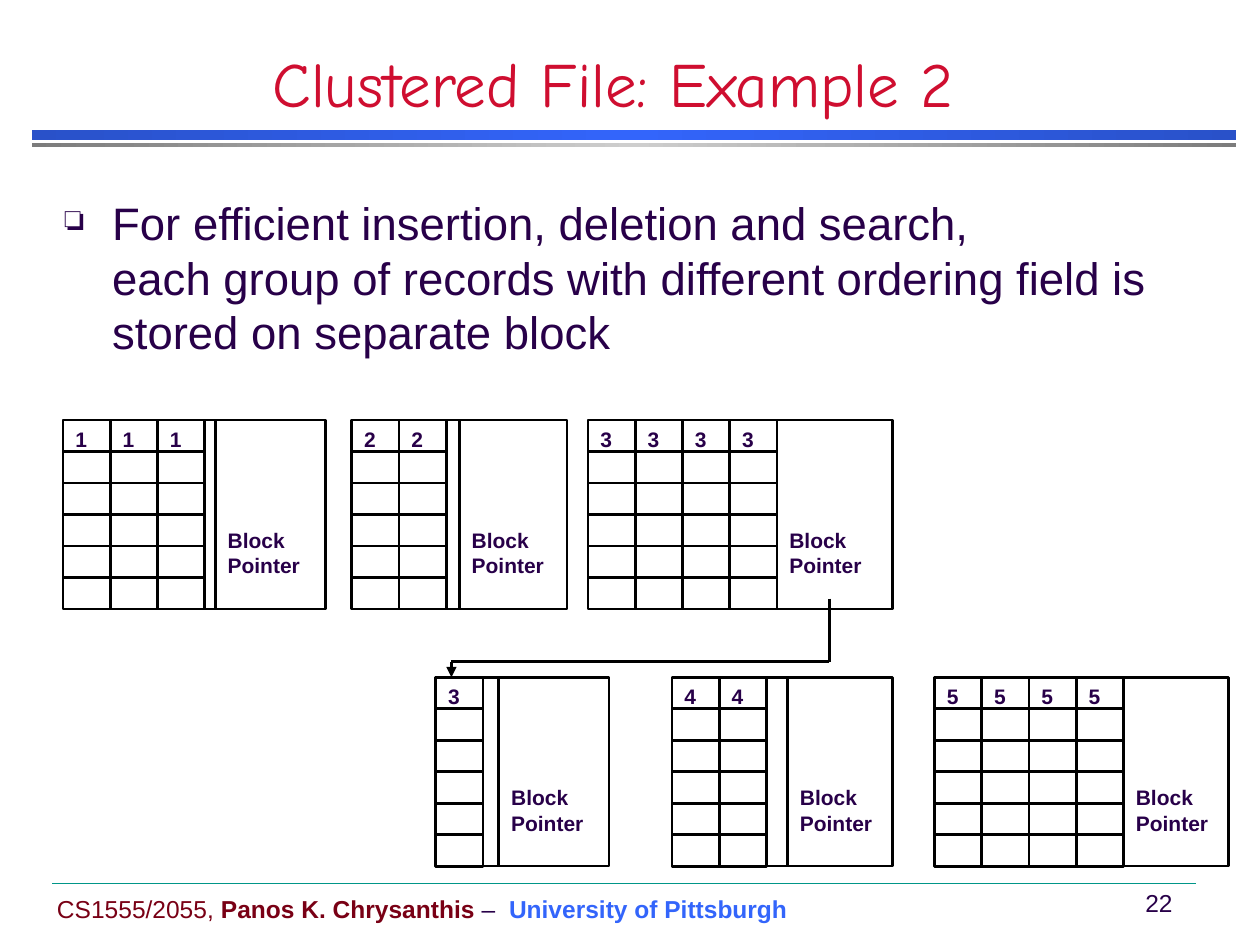
from copy import deepcopy

from lxml import etree
from pptx import Presentation
from pptx import util as u
from pptx.dml.color import RGBColor
from pptx.enum import shapes, text
from pptx.oxml.ns import qn

PX = 9525  # 96 px to the inch
COL, ROW, ROWS = 36, 24, 6
GAP = 24
BLACK = RGBColor(0, 0, 0)
WHITE = RGBColor(255, 255, 255)
INK = RGBColor(0x28, 0x00, 0x49)
RED = RGBColor(0xCF, 0x0E, 0x30)
WINE = RGBColor(0x79, 0x00, 0x15)
BLUE = RGBColor(0x33, 0x65, 0xFB)
NAVY = RGBColor(0x29, 0x51, 0xC9)
GREY = RGBColor(0x7C, 0x7C, 0x7C)
SILVER = RGBColor(0xCE, 0xCE, 0xCE)
TEAL = RGBColor(0x00, 0x96, 0x88)

# left, top, key, columns, pointer left, pointer width
BLOCKS = [
    (48, 320, "1", 3, 164, 84),
    (268, 320, "2", 2, 350, 82),
    (448, 320, "3", 4, 592, 88),
    (332, 516, "3", 1, 380, 84),
    (512, 516, "4", 2, 600, 80),
    (712, 516, "5", 4, 856, 80),
]


def px(*nums):
    return [u.Emu(n * PX) for n in nums]


def style(run, size, color, bold=False, face="Arial"):
    font = run.font
    font.size, font.bold, font.name = u.Pt(size), bold, face
    font.color.rgb = color


def add_box(slide, x, y, w, h, fill=None, label="", inset=5):
    box = slide.shapes.add_shape(shapes.MSO_SHAPE.RECTANGLE, *px(x, y, w, h))
    box.shadow.inherit = False
    if fill is None:
        box.fill.background()
    else:
        box.fill.solid()
        box.fill.fore_color.rgb = fill
    box.line.color.rgb = BLACK
    box.line.width = u.Pt(1.5)
    if label:
        frame = box.text_frame
        frame.text = label
        frame.vertical_anchor = text.MSO_ANCHOR.TOP
        frame.margin_top = u.Emu(inset * PX)
        for para in frame.paragraphs:
            para.alignment = text.PP_ALIGN.LEFT
            style(para.runs[0], 12, INK, True)
    return box


def add_line(slide, x1, y1, x2, y2, color=BLACK, width=1.5, arrow=False):
    line = slide.shapes.add_connector(
        shapes.MSO_CONNECTOR.STRAIGHT, *px(x1, y1, x2, y2))
    line.line.color.rgb = color
    line.line.width = u.Pt(width)
    if arrow:
        etree.SubElement(line.line._get_or_add_ln(), qn("a:tailEnd"),
                         type="triangle")
    etree.SubElement(line._element.spPr, qn("a:effectLst"))


def add_text(slide, x, y, w, h, anchor, align, wrap=True):
    """Return the first paragraph of a new text box."""
    frame = slide.shapes.add_textbox(*px(x, y, w, h)).text_frame
    frame.word_wrap = wrap
    frame.vertical_anchor = anchor
    para = frame.paragraphs[0]
    para.alignment = align
    return para


def add_bar(slide, y, h, edge, mid):
    """Draw a rule that shades from edge to mid and back."""
    bar = slide.shapes.add_shape(shapes.MSO_SHAPE.RECTANGLE,
                                 *px(24, y, 918, h))
    bar.shadow.inherit = False
    bar.line.fill.background()
    bar.fill.gradient()
    bar.fill.gradient_angle = 0
    stops = bar._element.spPr.find(qn("a:gradFill")).find(qn("a:gsLst"))
    stops.insert(1, deepcopy(stops[0]))
    for stop, pos, color in zip(bar.fill.gradient_stops, (0, 0.5, 1),
                                (edge, mid, edge)):
        stop.position = pos
        stop.color.rgb = color


def add_block(slide, x, y, key, cols, left, width):
    """Draw a grid of records with its block pointer."""
    end, base = x + cols * COL, y + ROWS * ROW
    for col in range(cols):
        add_box(slide, x + col * COL, y, COL, ROW, label=key)
    add_box(slide, x, y + ROW, cols * COL, base - y - ROW)
    for row in range(2, ROWS):
        add_line(slide, x, y + row * ROW, end, y + row * ROW)
    for col in range(1, cols):
        add_line(slide, x + col * COL, y + ROW, x + col * COL, base)
    if left > end:
        add_box(slide, end, y, GAP, base - y, WHITE)
    add_box(slide, left, y, width, base - y, WHITE, "Block\nPointer", 82)


def add_link(slide):
    spots = [(632, 456), (632, 504), (344, 504), (344, 516)]
    for start, stop in zip(spots, spots[1:]):
        add_line(slide, *start, *stop, arrow=stop == spots[-1])


def add_title(slide):
    para = add_text(slide, 0, 40, 950, 56, text.MSO_ANCHOR.BOTTOM,
                    text.PP_ALIGN.CENTER)
    para.text = "Clustered File: Example 2 "
    style(para.runs[0], 36, RED, face="Comic Neue")


def add_body(slide):
    para = add_text(slide, 40, 144, 896, 136, text.MSO_ANCHOR.TOP,
                    text.PP_ALIGN.LEFT)
    para.text = ("For efficient insertion, deletion and search, \v"
                 "each group of records with different ordering field is "
                 "stored on separate block")
    for run in para.runs:
        style(run, 26, INK)
    props = para._p.get_or_add_pPr()
    props.set("marL", str(36 * PX))
    props.set("indent", str(-36 * PX))
    tint = etree.SubElement(props, qn("a:buClr"))
    etree.SubElement(tint, qn("a:srgbClr"), val=str(INK))
    etree.SubElement(props, qn("a:buSzPct"), val="75000")
    etree.SubElement(props, qn("a:buChar"), char="❏")


def add_foot(slide):
    add_line(slide, 40, 673, 911, 673, TEAL, 0.25)
    para = add_text(slide, 34, 676, 580, 32, text.MSO_ANCHOR.MIDDLE,
                    text.PP_ALIGN.LEFT, False)
    for words, color, bold in [
            ("CS1555/2055, ", WINE, False),
            ("Panos K. Chrysanthis", WINE, True),
            (" –  ", INK, False),
            ("University of Pittsburgh", BLUE, True)]:
        run = para.add_run()
        run.text = words
        style(run, 14, color, bold)
    page = add_text(slide, 860, 672, 46, 32, text.MSO_ANCHOR.MIDDLE,
                    text.PP_ALIGN.CENTER, False)
    page.text = "22"
    style(page.runs[0], 14, INK)


def main():
    deck = Presentation()
    deck.slide_width, deck.slide_height = px(960, 720)
    slide = deck.slides.add_slide(deck.slide_layouts[6])
    add_bar(slide, 99, 8, NAVY, BLUE)
    add_bar(slide, 109, 3, GREY, SILVER)
    add_foot(slide)
    add_title(slide)
    for block in BLOCKS:
        add_block(slide, *block)
    add_link(slide)
    add_body(slide)
    deck.save("out.pptx")


if __name__ == "__main__":
    main()
